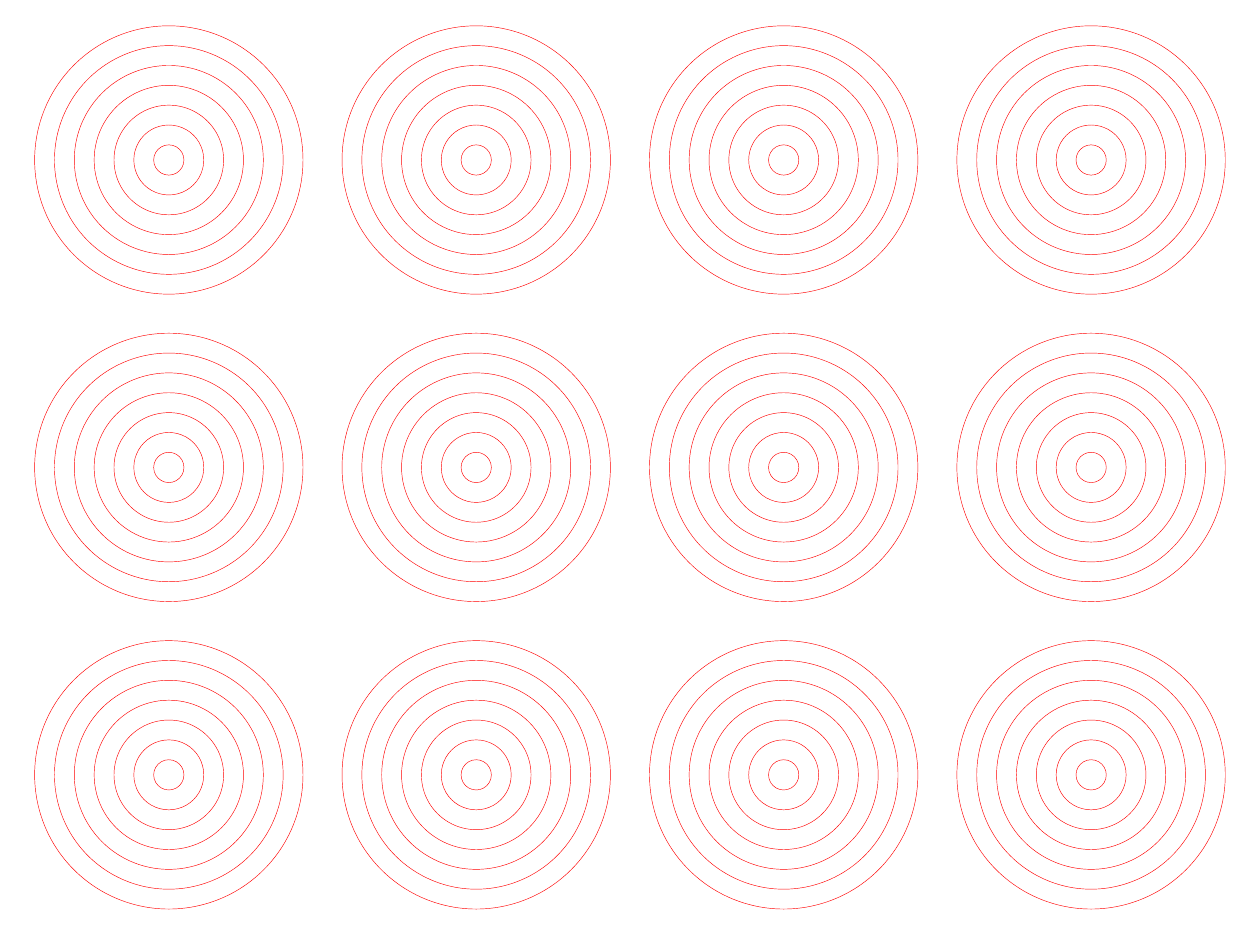
from itertools import product

from pptx import Presentation
from pptx.dml.color import RGBColor
from pptx.enum.shapes import MSO_SHAPE as Shape
from pptx.util import Inches, Pt

COLS, ROWS, RINGS = 4, 3, 7
LEFT, TOP = 1.34, 1.27      # centre of the first target
PITCH = 2.44                # from one centre to the next
INNER, OUTER = 0.24, 2.13   # smallest and largest diameter


def color(code):
    return RGBColor.from_string(code)


class Page:
    """Holds the line style and the current slide."""

    def __init__(self, slide, ink="FF0000", width=0.25):
        self.slide = slide
        self.ink = ink
        self.width = width

    def ring(self, x, y, size):
        """Draw one unfilled circle around the centre x, y."""
        ring = self.slide.shapes.add_shape(
            Shape.OVAL, Inches(x - size / 2), Inches(y - size / 2),
            Inches(size), Inches(size))
        ring.shadow.inherit = False
        ring.fill.background()
        ring.line.color.rgb = color(self.ink)
        ring.line.width = Pt(self.width)

    def target(self, x, y):
        """Draw evenly spaced rings, from the inside out."""
        step = (OUTER - INNER) / (RINGS - 1)
        for i in range(RINGS):
            self.ring(x, y, INNER + i * step)


def main():
    deck = Presentation()
    deck.slide_width, deck.slide_height = Inches(10), Inches(7.5)
    blank = deck.slide_layouts[6]
    page = Page(deck.slides.add_slide(blank))

    # Grid of targets, column by column
    for col, row in product(range(COLS), range(ROWS)):
        page.target(LEFT + col * PITCH, TOP + row * PITCH)

    deck.save("out.pptx")


if __name__ == "__main__":
    main()
